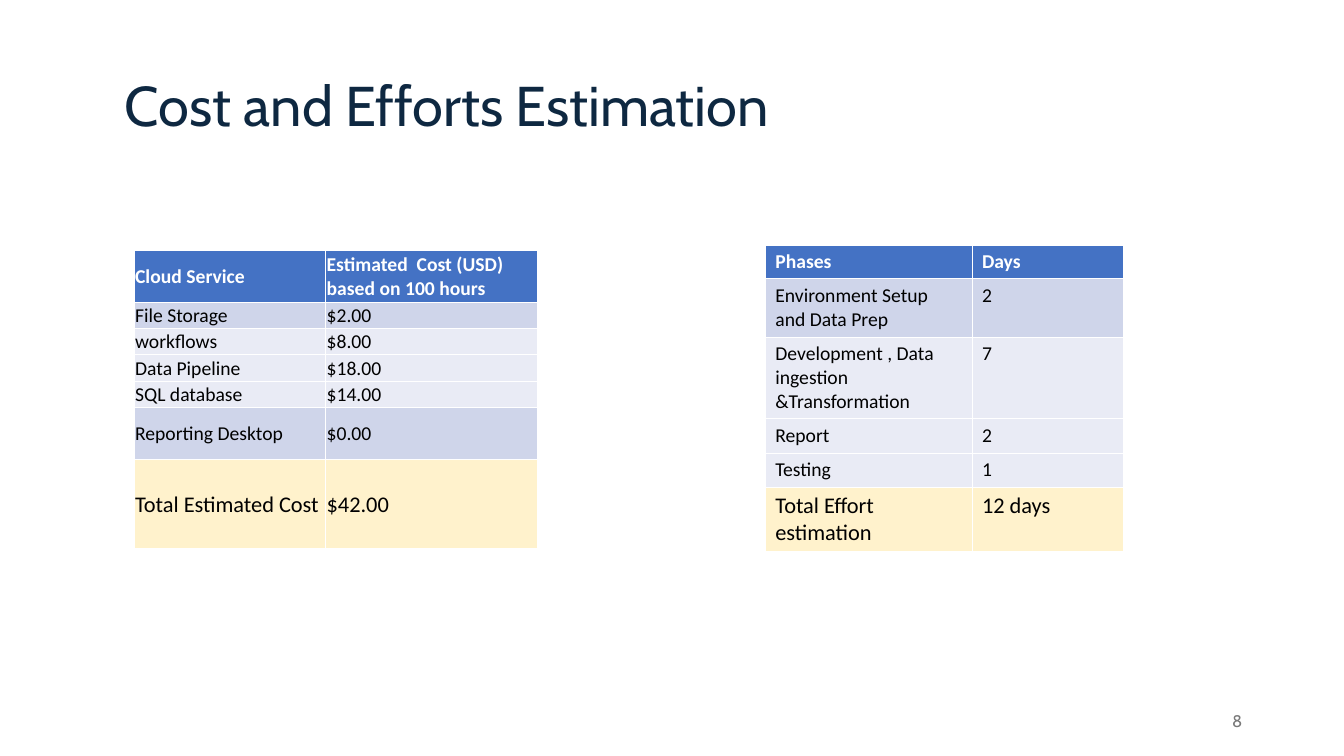
from lxml.etree import SubElement
from pptx import Presentation
from pptx.dml.color import RGBColor
from pptx.enum.text import MSO_ANCHOR, PP_ALIGN
from pptx.oxml.ns import qn
from pptx.util import Inches, Pt

TITLE = "Cost and Efforts Estimation"
PAGE_NUMBER = "8"
HEADER, DARK_BAND, LIGHT_BAND, TOTAL = "4472C4", "CFD5EA", "E9EBF5", "FFF2CC"
WHITE, BLACK, NAVY, GREY = "FFFFFF", "000000", "0E2841", "797979"

EFFORT = {
    "left": 7.59, "top": 2.43, "columns": [2.05, 1.5],
    "margins": (0.1, 0.05, 0.1, 0.05), "anchor": MSO_ANCHOR.TOP, "header_line": 1.4,
    "rows": [
        (0.33, HEADER, "Phases", "Days"),
        (0.58, DARK_BAND, "Environment Setup and Data Prep", "2"),
        (0.81, LIGHT_BAND, "Development , Data ingestion &Transformation", "7"),
        (0.34, LIGHT_BAND, "Report", "2"),
        (0.34, LIGHT_BAND, "Testing", "1"),
        (0.64, TOTAL, "Total Effort estimation", "12 days"),
    ],
}
COST = {
    "left": 1.33, "top": 2.48, "columns": [1.9, 2.1],
    "margins": (0.01, 0.01, 0.01, 0), "anchor": MSO_ANCHOR.MIDDLE, "header_line": 1,
    "rows": [
        (0.52, HEADER, "Cloud Service", "Estimated  Cost (USD) based on 100 hours"),
        (0.26, DARK_BAND, "File Storage", "$2.00"),
        (0.26, LIGHT_BAND, "workflows", "$8.00"),
        (0.26, LIGHT_BAND, "Data Pipeline", "$18.00"),
        (0.26, LIGHT_BAND, "SQL database", "$14.00"),
        (0.52, DARK_BAND, "Reporting Desktop", "$0.00"),
        (0.88, TOTAL, "Total Estimated Cost", "$42.00"),
    ],
}


def rgb(color):
    return RGBColor.from_string(color)


def write(frame, text, size, color, font="Calibri", bold=False,
          align=PP_ALIGN.LEFT, spacing=1.0):
    frame.word_wrap = True
    paragraph = frame.paragraphs[0]
    paragraph.alignment = align
    paragraph.line_spacing = spacing
    run = paragraph.add_run()
    run.text = text
    run.font.name = font
    run.font.size = Pt(size)
    run.font.bold = bold
    run.font.color.rgb = rgb(color)


def add_text(slide, box, text, anchor, **style):
    frame = slide.shapes.add_textbox(*map(Inches, box)).text_frame
    frame.vertical_anchor = anchor
    write(frame, text, font="Cabin", **style)


def set_borders(cell, top, bottom):
    properties = cell._tc.get_or_add_tcPr()
    for side, width in (("L", 0.5), ("R", 0.5), ("T", top), ("B", bottom)):
        line = SubElement(properties, qn(f"a:ln{side}"), w=str(Pt(width)))
        SubElement(SubElement(line, qn("a:solidFill")), qn("a:srgbClr"), val=WHITE)


def add_estimate(slide, estimate):
    rows, columns = estimate["rows"], estimate["columns"]
    size = sum(columns), sum(row[0] for row in rows)
    table = slide.shapes.add_table(
        len(rows), len(columns),
        *map(Inches, (estimate["left"], estimate["top"], *size))).table
    for column, width in zip(table.columns, columns):
        column.width = Inches(width)
    for index, (height, fill, *texts) in enumerate(rows):
        table.rows[index].height = Inches(height)
        top = estimate["header_line"] if index == 1 else 0.5
        bottom = estimate["header_line"] if index == 0 else 0.5
        for cell, text in zip(table.rows[index].cells, texts):
            set_borders(cell, top, bottom)
            cell.fill.solid()
            cell.fill.fore_color.rgb = rgb(fill)
            cell.vertical_anchor = estimate["anchor"]
            (cell.margin_left, cell.margin_top, cell.margin_right,
             cell.margin_bottom) = map(Inches, estimate["margins"])
            write(cell.text_frame, text, size=16 if fill == TOTAL else 14,
                  color=WHITE if fill == HEADER else BLACK, bold=fill == HEADER)


def main():
    """Build the cost and effort estimation slide."""
    deck = Presentation()
    deck.slide_width, deck.slide_height = Inches(13.33), Inches(7.5)
    slide = deck.slides.add_slide(deck.slide_layouts[6])
    add_text(slide, (9.42, 6.95, 3, 0.4), PAGE_NUMBER, MSO_ANCHOR.MIDDLE,
             size=12, color=GREY, align=PP_ALIGN.RIGHT)
    add_text(slide, (1.14, 0.73, 8.63, 0.75), TITLE, MSO_ANCHOR.TOP,
             size=40, color=NAVY, spacing=0.9)
    for estimate in (EFFORT, COST):
        add_estimate(slide, estimate)
    deck.save("out.pptx")


if __name__ == "__main__":
    main()
